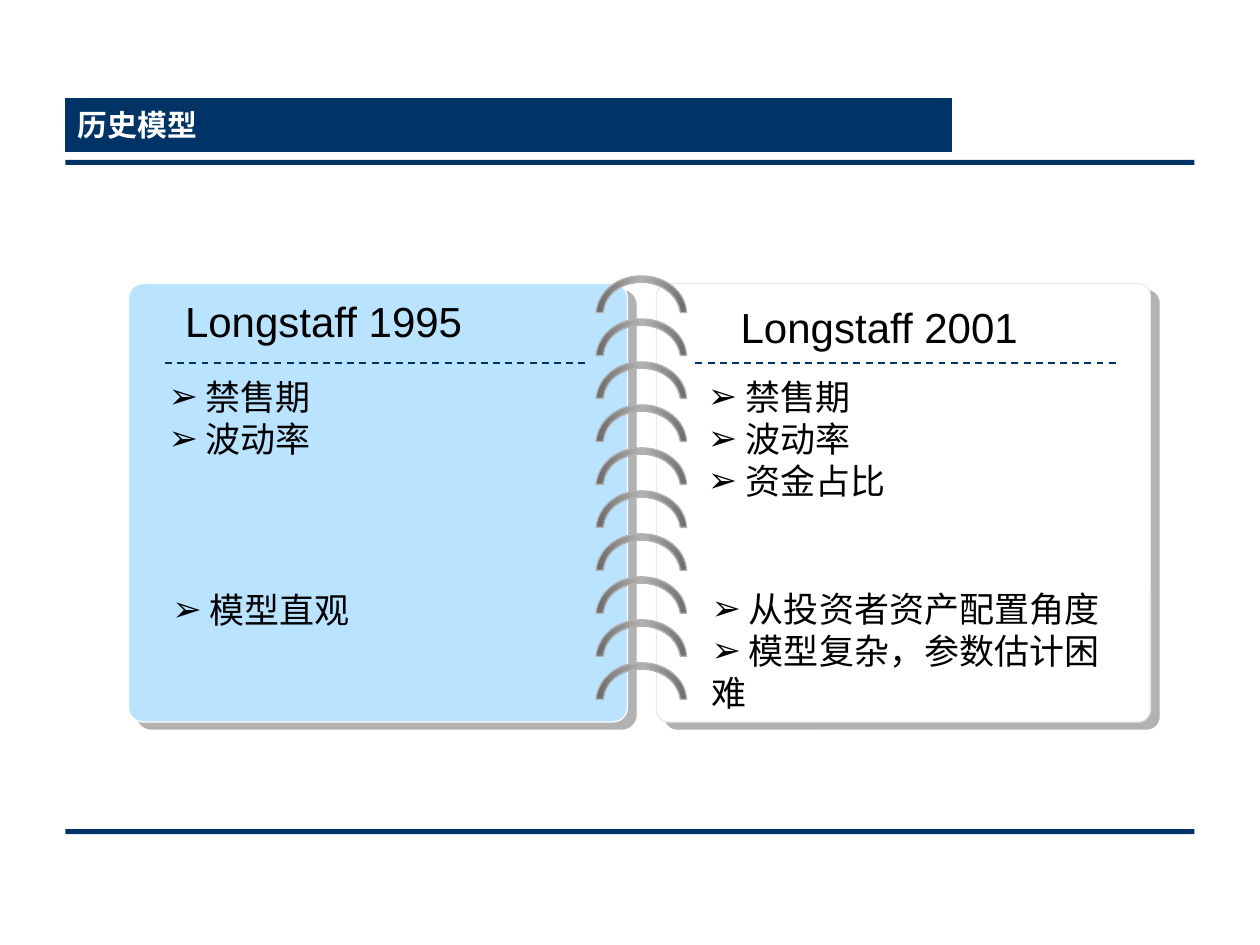
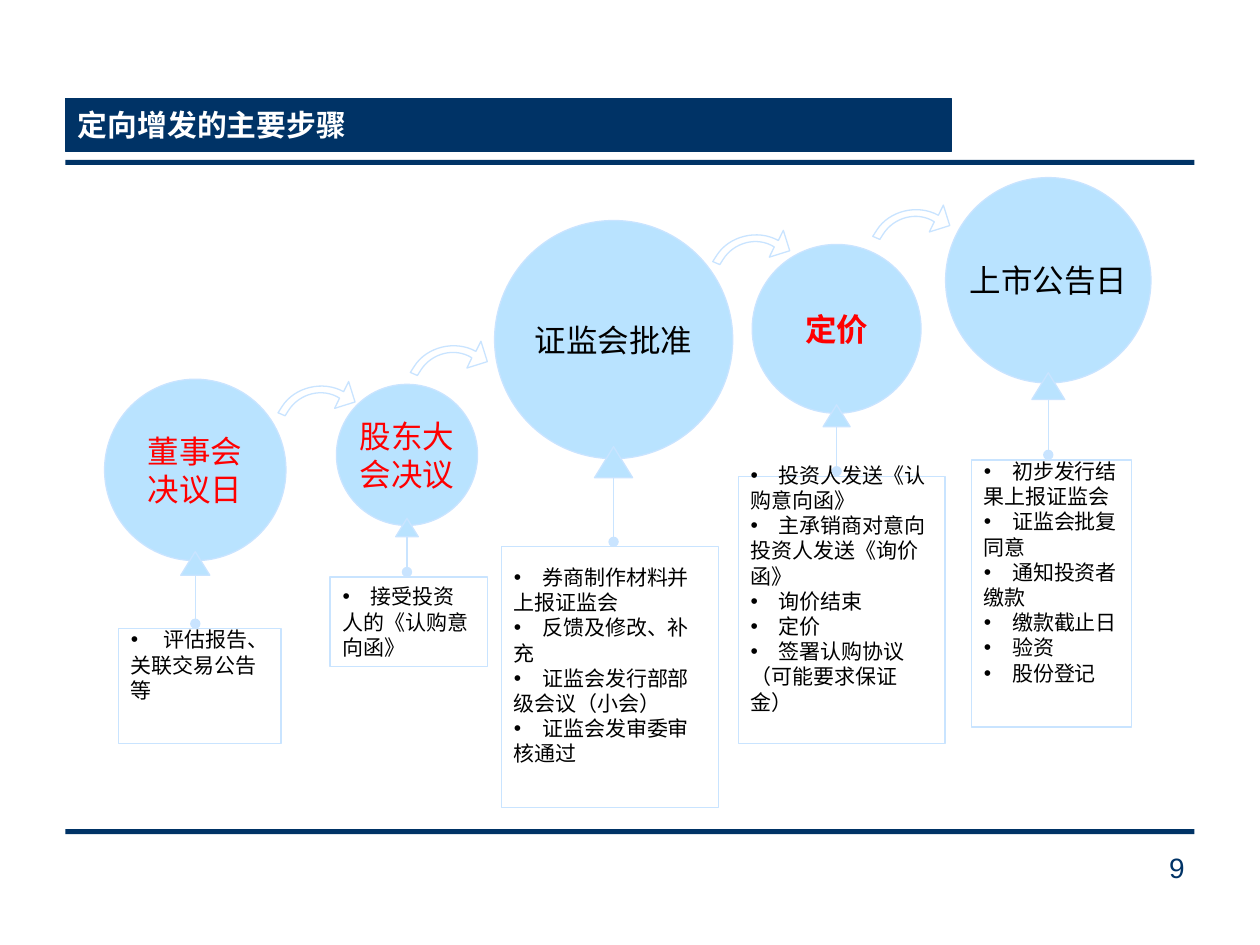
from copy import deepcopy

from lxml.etree import SubElement
from pptx import Presentation
from pptx.dml.color import RGBColor
from pptx.enum.dml import MSO_LINE
from pptx.enum.shapes import MSO_CONNECTOR, MSO_SHAPE
from pptx.enum.text import MSO_ANCHOR, PP_ALIGN
from pptx.oxml.ns import qn
from pptx.util import Inches, Pt

NAVY = RGBColor(0x00, 0x33, 0x66)
SKY = RGBColor(0xB9, 0xE3, 0xFF)
PALE = RGBColor(0xC9, 0xE4, 0xFF)
WHITE = RGBColor(0xFF, 0xFF, 0xFF)
BLACK = RGBColor(0x00, 0x00, 0x00)
RED = RGBColor(0xFF, 0x00, 0x00)
MIST = RGBColor(0xEA, 0xEA, 0xEA)
SILVER = RGBColor(0xB2, 0xB2, 0xB2)
STEEL = RGBColor(0x6A, 0x6A, 0x6A)
FONT = "Arial"

# Outlines in inches: two numbers are a corner, six a cubic curve.
RING = [(0.06, 0.29), (0.07, 0.15, 0.2, 0.05, 0.36, 0.05),
        (0.52, 0.05, 0.65, 0.15, 0.67, 0.29), (0.72, 0.29),
        (0.71, 0.12, 0.55, 0, 0.36, 0), (0.17, 0, 0.02, 0.12, 0, 0.29)]
ARROW = [(0.67, 0.35), (0.67, 0.19, 0.53, 0.06, 0.37, 0.06),
         (0.35, 0.06, 0.33, 0.06, 0.32, 0.06), (0.31, 0),
         (0.33, 0, 0.35, 0, 0.37, 0),
         (0.55, 0, 0.72, 0.16, 0.73, 0.35),
         (0.82, 0.34), (0.71, 0.47), (0.58, 0.36)]
HOPS = [(2.18, 3.06), (3.23, 2.74), (5.63, 1.86), (6.9, 1.66)]

# Circle lines, colour, bold, centre x, top, size; note box; top and bottom inset; items
STEPS = [
    (["董事会", "决议日"], RED, False, 1.55, 3.01, 1.44,
     (0.94, 4.99, 1.29, 0.91), 0.05, 0.39,
     [" 　评估报告、关联交易公告等"]),
    (["股东大", "会决议"], RED, False, 3.23, 3.05, 1.12,
     (2.62, 4.58, 1.25, 0.71), 0.05, 0.05,
     ["　接受投资人的《认购意向函》"]),
    (["证监会批准"], BLACK, False, 4.87, 1.75, 1.89,
     (3.98, 4.34, 1.72, 2.07), 0.2, 0.39,
     ["　券商制作材料并上报证监会", "　反馈及修改、补充",
      "　证监会发行部部级会议（小会）", "　证监会发审委审核通过"]),
    (["定价"], RED, True, 6.64, 1.94, 1.34,
     (5.86, 3.78, 1.64, 2.12), 0.05, 0.39,
     ["　投资人发送《认购意向函》", "　主承销商对意向投资人发送《询价函》",
      "　询价结束", "　定价", "　签署认购协议（可能要求保证金）"]),
    (["上市公告日"], BLACK, False, 8.32, 1.41, 1.63,
     (7.71, 3.65, 1.27, 2.12), 0.05, 0.39,
     ["　初步发行结果上报证监会", "　证监会批复同意", "　通知投资者缴款",
      "　缴款截止日", "　验资", "　股份登记"]),
]


def paint(shape, fill, line=None):
    shape.shadow.inherit = False
    if fill is not None:
        shape.fill.solid()
        shape.fill.fore_color.rgb = fill
    if line is None:
        shape.line.fill.background()
    else:
        shape.line.color.rgb = line
        shape.line.width = Pt(0.75)


def add_form(slide, kind, at, fill, line=None):
    shape = slide.shapes.add_shape(kind, *map(Inches, at))
    paint(shape, fill, line)
    return shape


def add_line(slide, start, end, color, width):
    line = slide.shapes.add_connector(
        MSO_CONNECTOR.STRAIGHT, *map(Inches, start + end))
    line.line.color.rgb = color
    line.line.width = Pt(width)
    SubElement(line._element.spPr, qn("a:effectLst"))
    return line


def add_curve(slide, outline, left, top, width, height):
    """Build a closed freeform, then bend its six-number parts."""
    pen = slide.shapes.build_freeform(*map(Inches, outline[0]))
    pen.add_line_segments(
        [tuple(map(Inches, part[-2:])) for part in outline[1:]], close=True)
    shape = pen.convert_to_shape()
    shape.left, shape.top = Inches(left), Inches(top)
    shape.width, shape.height = Inches(width), Inches(height)
    track = shape._element.spPr.find(".//" + qn("a:path"))
    for child in list(track):
        track.remove(child)
    track.set("w", str(Inches(width)))
    track.set("h", str(Inches(height)))
    for i, part in enumerate(outline):
        tag = "a:moveTo" if i == 0 else "a:lnTo"
        move = SubElement(track, qn("a:cubicBezTo" if len(part) == 6 else tag))
        for x, y in zip(part[::2], part[1::2]):
            SubElement(move, qn("a:pt"), x=str(Inches(x)), y=str(Inches(y)))
    SubElement(track, qn("a:close"))
    return shape


def write(shape, lines, size, color, bold=False, align=PP_ALIGN.LEFT,
          bullet=None, wrap=True):
    frame = shape.text_frame
    frame.word_wrap = wrap
    for i, line in enumerate(lines):
        para = frame.paragraphs[0] if i == 0 else frame.add_paragraph()
        para.text = line
        para.alignment = align
        if bullet:
            props = para._p.get_or_add_pPr()
            props.set("marL", "0")
            props.set("indent", "0")
            SubElement(props, qn("a:buFont"), typeface=FONT)
            SubElement(props, qn("a:buChar"), char=bullet)
        font = para.font
        font.name, font.size, font.bold = FONT, Pt(size), bold
        font.color.rgb = color


def add_text(slide, at, lines, size, color, **style):
    box = slide.shapes.add_textbox(*map(Inches, at))
    write(box, lines, size, color, **style)


def add_page(deck, title):
    """Add a slide with its title band and two rules."""
    slide = deck.slides.add_slide(deck.slide_layouts[6])
    for top in (1.27, 6.58):
        add_form(slide, MSO_SHAPE.RECTANGLE, (0.52, top, 8.96, 0.04), NAVY)
    band = add_form(slide, MSO_SHAPE.RECTANGLE, (0.52, 0.78, 7.03, 0.42),
                    NAVY, NAVY)
    band.text_frame.vertical_anchor = MSO_ANCHOR.MIDDLE
    write(band, [title], 17, WHITE, bold=True)
    return slide


def add_paper(slide, left, width, bend, fill, line):
    paper = add_form(slide, MSO_SHAPE.ROUNDED_RECTANGLE,
                     (left, 2.25, width, 3.48), fill, line)
    paper.adjustments[0] = bend
    effects = paper._element.spPr.find(qn("a:effectLst"))
    shade = SubElement(effects, qn("a:outerShdw"), dist=str(Pt(6.4)),
                       dir=str(39 * 60000), algn="ctr", rotWithShape="0")
    SubElement(shade, qn("a:srgbClr"), val=str(SILVER))


def add_ring(slide, top):
    ring = add_curve(slide, RING, 4.73, top, 0.73, 0.65)
    paint(ring, None, SILVER)
    ring.fill.gradient()
    ring.fill.gradient_angle = 0
    stops = ring.fill.gradient_stops
    for stop, spot, color in zip(stops, (0, 0.5), (STEEL, SILVER)):
        stop.position = spot
        stop.color.rgb = color
    group = ring._element.spPr.find(".//" + qn("a:gsLst"))
    last = deepcopy(group[0])
    last.set("pos", "100000")
    group.append(last)


def add_hop(slide, left, top):
    hop = add_curve(slide, ARROW, left, top, 0.73, 0.73)
    hop.rotation = 302.4
    paint(hop, WHITE, PALE)


def add_step(slide, step):
    """Draw a note box, its stem, the circle above and the pointer."""
    lines, color, bold, mid, top, size, at, head, foot, items = step
    note = add_form(slide, MSO_SHAPE.RECTANGLE, at, WHITE, PALE)
    frame = note.text_frame
    frame.vertical_anchor = MSO_ANCHOR.MIDDLE
    frame.margin_top, frame.margin_bottom = Inches(head), Inches(foot)
    write(note, items, 12, BLACK, bullet="•")

    tip = top + 0.95 * size
    base = tip + 0.13 * size
    stem = add_line(slide, (mid, base), (mid, at[1] - 0.04), PALE, 0.75)
    SubElement(stem.line._get_or_add_ln(), qn("a:tailEnd"), type="oval")

    ball = add_form(slide, MSO_SHAPE.OVAL, (mid - size / 2, top, size, size),
                    SKY, PALE)
    ball.text_frame.vertical_anchor = MSO_ANCHOR.MIDDLE
    write(ball, lines, 18, color, bold=bold, align=PP_ALIGN.CENTER, wrap=False)
    wide = 0.16 * size
    add_form(slide, MSO_SHAPE.ISOSCELES_TRIANGLE,
             (mid - wide / 2, tip, wide, base - tip), SKY, PALE)


def add_models(deck):
    slide = add_page(deck, "历史模型")
    add_paper(slide, 1.02, 3.96, 0.033, SKY, WHITE)
    add_paper(slide, 5.21, 3.92, 0.028, WHITE, MIST)
    for i in range(10):
        add_ring(slide, 2.19 + i * 3.07 / 9)
    for left in (1.31, 5.52):
        rule = add_line(slide, (left, 2.88), (left + 3.35, 2.88), NAVY, 1)
        rule.line.dash_style = MSO_LINE.DASH
    for left, top, name in ((1.37, 2.3, "Longstaff 1995"),
                            (5.78, 2.34, "Longstaff 2001")):
        add_text(slide, (left, top, 2.42, 0.5), [name], 24, BLACK, wrap=False)
    for at, items in (
            ((1.24, 2.93, 3.45, 0.77), [" 禁售期", " 波动率"]),
            ((5.52, 2.93, 3.38, 1.11), [" 禁售期", " 波动率", " 资金占比"]),
            ((1.27, 4.62, 3.45, 0.44), [" 模型直观"]),
            ((5.55, 4.61, 3.45, 1.11),
             [" 从投资者资产配置角度", " 模型复杂，参数估计困难"])):
        add_text(slide, at, items, 20, BLACK, bullet="➢")


def add_steps(deck):
    slide = add_page(deck, "定向增发的主要步骤")
    add_text(slide, (8.75, 6.7, 0.75, 0.52), ["9"], 16, NAVY,
             align=PP_ALIGN.RIGHT)
    for left, top in HOPS:
        add_hop(slide, left, top)
    for step in STEPS:
        add_step(slide, step)


def main():
    deck = Presentation()
    deck.slide_width, deck.slide_height = Inches(10), Inches(7.5)
    add_models(deck)
    add_steps(deck)
    deck.save("out.pptx")


if __name__ == "__main__":
    main()
